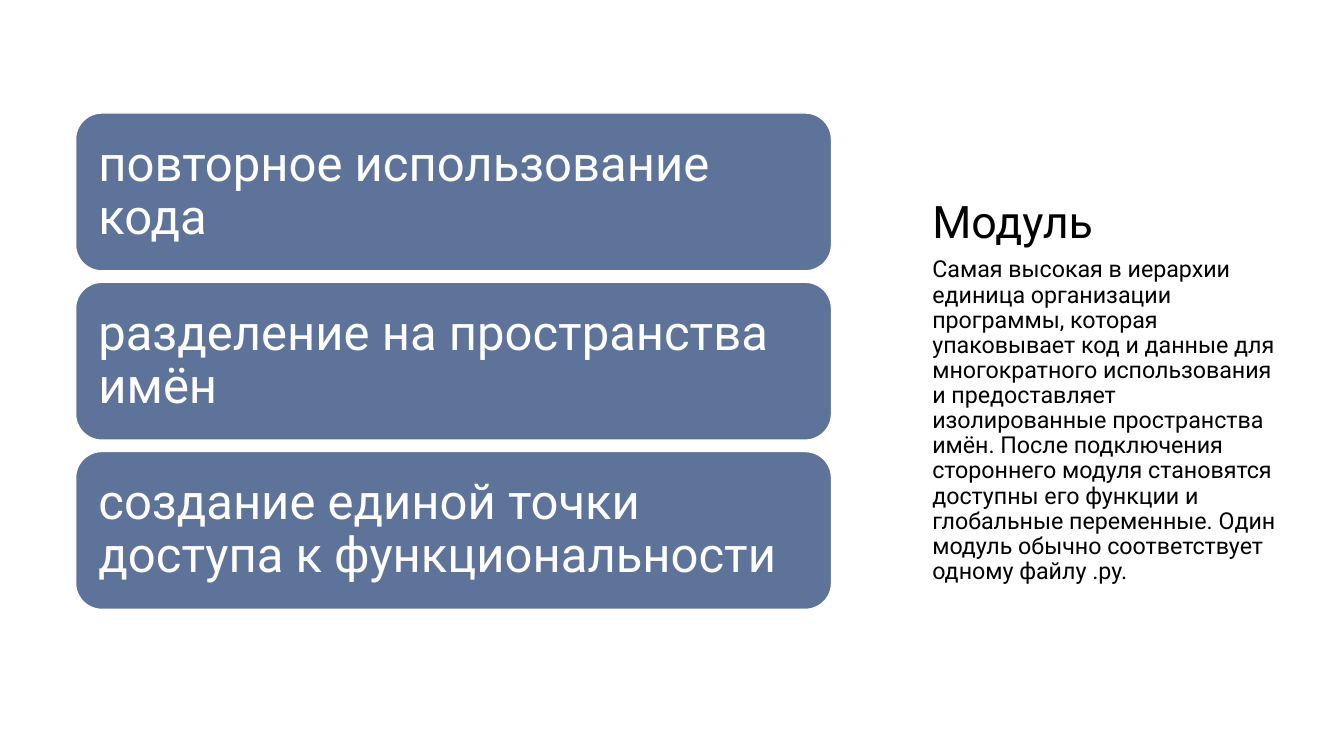
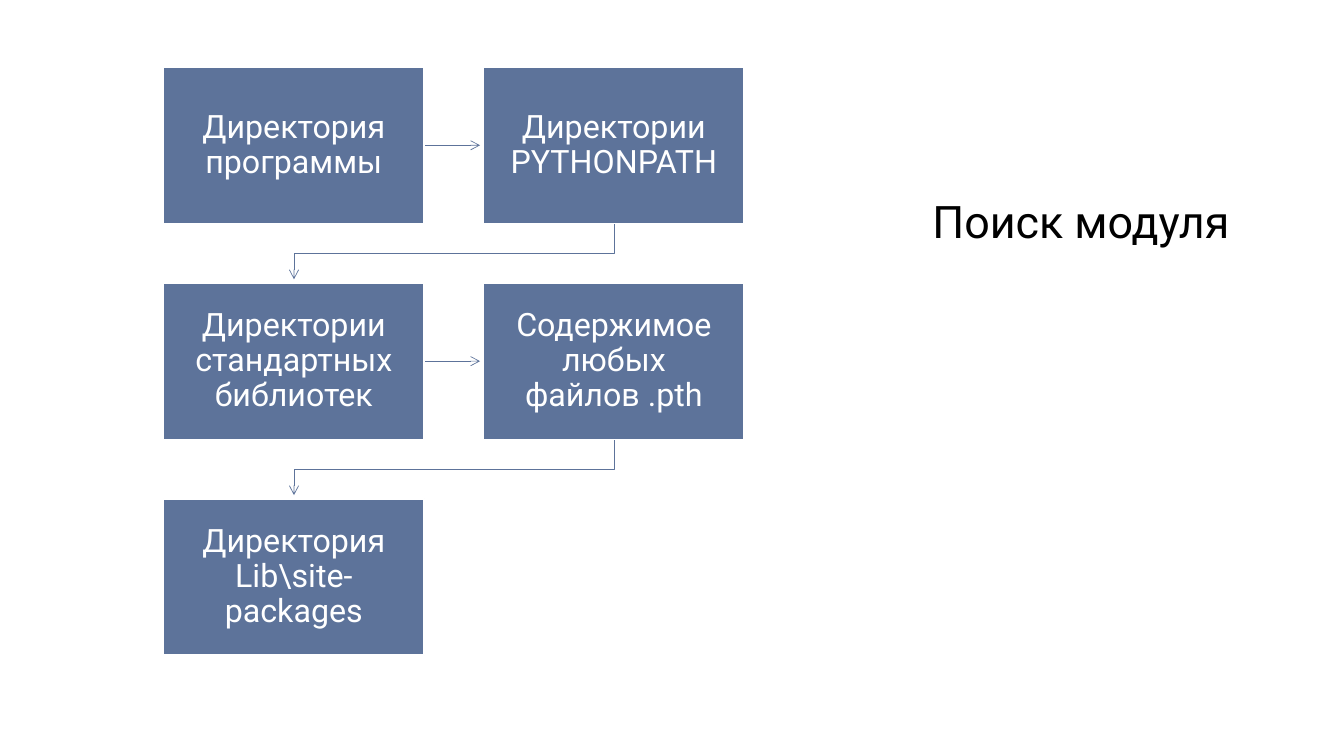
from dataclasses import dataclass
from itertools import zip_longest

from lxml import etree
from pptx import Presentation
from pptx.dml.color import RGBColor
from pptx.enum.shapes import MSO_CONNECTOR, MSO_SHAPE
from pptx.enum.text import MSO_ANCHOR, PP_ALIGN
from pptx.oxml.ns import qn
from pptx.presentation import Presentation as Deck
from pptx.shapes.base import BaseShape
from pptx.slide import Slide
from pptx.util import Emu, Inches, Pt

RECTANGLE = MSO_SHAPE.RECTANGLE
ROUNDED = MSO_SHAPE.ROUNDED_RECTANGLE
STRAIGHT = MSO_CONNECTOR.STRAIGHT
LEFT, CENTER = PP_ALIGN.LEFT, PP_ALIGN.CENTER
TOP, MIDDLE, BOTTOM = MSO_ANCHOR.TOP, MSO_ANCHOR.MIDDLE, MSO_ANCHOR.BOTTOM

# The slide is a grid of square units
COLUMNS, ROWS = 160, 90
UNIT = Inches(1) / 12
BLANK_LAYOUT = 6


@dataclass(frozen=True)
class Theme:
    font: str = "Roboto"
    accent: RGBColor = RGBColor(0x5D, 0x73, 0x9A)
    ink: RGBColor = RGBColor(0, 0, 0)
    paper: RGBColor = RGBColor(255, 255, 255)
    title_size: float = 32
    body_size: float = 16.6
    benefit_size: float = 35
    step_size: float = 23
    line_spacing: float = 0.9
    border: float = 1
    arrow: float = 0.5


THEME = Theme()


@dataclass(frozen=True)
class Frame:
    """A rectangle in columns and rows of the slide grid."""
    left: float
    top: float
    width: float
    height: float

    @property
    def right(self) -> float:
        return self.left + self.width

    @property
    def bottom(self) -> float:
        return self.top + self.height

    @property
    def center(self) -> float:
        return self.left + self.width / 2

    @property
    def middle(self) -> float:
        return self.top + self.height / 2

    def lengths(self) -> list[Emu]:
        return [units(n) for n in (self.left, self.top, self.width, self.height)]


@dataclass(frozen=True)
class CardGrid:
    """Equal cards at a constant pitch; the first one sets the size."""
    first: Frame
    column_pitch: float
    row_pitch: float
    columns: int

    def card(self, index: int) -> Frame:
        row, column = divmod(index, self.columns)
        return Frame(self.first.left + column * self.column_pitch,
                     self.first.top + row * self.row_pitch,
                     self.first.width, self.first.height)


@dataclass(frozen=True)
class CardStyle:
    outline: MSO_SHAPE
    size: float
    align: PP_ALIGN
    inset: float


TITLE = Frame(111, 7.9, 41.5, 21.6)
BODY = Frame(111, 30.7, 41.5, 47.3)
BENEFIT_GRID = CardGrid(Frame(9, 13.45, 90, 18.8), 0, 20.15, 1)
STEP_GRID = CardGrid(Frame(19.5, 8, 31, 18.6), 38.1, 25.7, 2)
BENEFIT_STYLE = CardStyle(ROUNDED, THEME.benefit_size, LEFT, 1.8)
STEP_STYLE = CardStyle(RECTANGLE, THEME.step_size, CENTER, 2.2)
ARROW_GAP = 0.45

DEFINITION = (
    "Самая высокая в иерархии единица организации программы, которая "
    "упаковывает код и данные для многократного использования и предоставляет "
    "изолированные пространства имён. После подключения стороннего модуля "
    "становятся доступны его функции и глобальные переменные. Один модуль "
    "обычно соответствует одному файлу .py."
)
BENEFITS = (
    "повторное использование кода",
    "разделение на пространства имён",
    "создание единой точки доступа к функциональности",
)
STEPS = (
    "Директория программы",
    "Директории PYTHONPATH",
    "Директории стандартных библиотек",
    "Содержимое любых файлов .pth",
    "Директория Lib\\site-packages",
)


def units(count: float) -> Emu:
    return Emu(round(count * UNIT))


# Text
def write(box: BaseShape, text: str, *, size: float, color: RGBColor = THEME.ink,
          align: PP_ALIGN = LEFT, anchor: MSO_ANCHOR = TOP, inset: float = 0,
          spacing: float = THEME.line_spacing) -> None:
    frame = box.text_frame
    frame.word_wrap = True
    frame.vertical_anchor = anchor
    frame.margin_left = frame.margin_right = units(inset)
    frame.margin_top = frame.margin_bottom = units(inset)
    para = frame.paragraphs[0]
    para.alignment = align
    para.line_spacing = spacing
    span = para.add_run()
    span.text = text
    span.font.name = THEME.font
    span.font.size = Pt(size)
    span.font.color.rgb = color


def add_title(page: Slide, text: str) -> None:
    box = page.shapes.add_textbox(*TITLE.lengths())
    write(box, text, size=THEME.title_size, anchor=BOTTOM, spacing=1.0)


# Cards
def add_card(page: Slide, frame: Frame, text: str, style: CardStyle) -> None:
    card = page.shapes.add_shape(style.outline, *frame.lengths())
    card.shadow.inherit = False
    card.fill.solid()
    card.fill.fore_color.rgb = THEME.accent
    card.line.color.rgb = THEME.paper
    card.line.width = Pt(THEME.border)
    write(card, text, size=style.size, color=THEME.paper, align=style.align,
          anchor=MIDDLE, inset=style.inset)


# Arrows
def style_arrow(arrow: BaseShape) -> None:
    arrow.line.color.rgb = THEME.accent
    arrow.line.width = Pt(THEME.arrow)
    properties = arrow.element.spPr
    etree.SubElement(properties.find(qn("a:ln")), qn("a:tailEnd"), type="arrow")
    etree.SubElement(properties, qn("a:effectLst"))


def add_arrow(page: Slide, source: Frame, target: Frame) -> None:
    if source.top == target.top:
        ends = (source.right, source.middle, target.left - ARROW_GAP, target.middle)
        arrow = page.shapes.add_connector(STRAIGHT, *map(units, ends))
    else:
        turn = (source.bottom + target.top) / 2
        corners = ((source.center, turn), (target.center, turn),
                   (target.center, target.top - ARROW_GAP))
        builder = page.shapes.build_freeform(units(source.center), units(source.bottom))
        builder.add_line_segments([(units(x), units(y)) for x, y in corners], close=False)
        arrow = builder.convert_to_shape()
        arrow.fill.background()
    style_arrow(arrow)


# Slides
def add_page(deck: Deck, title: str) -> Slide:
    page = deck.slides.add_slide(deck.slide_layouts[BLANK_LAYOUT])
    add_title(page, title)
    return page


def add_module_page(deck: Deck) -> None:
    page = add_page(deck, "Модуль")
    body = page.shapes.add_textbox(*BODY.lengths())
    write(body, DEFINITION, size=THEME.body_size)
    for index, benefit in enumerate(BENEFITS):
        add_card(page, BENEFIT_GRID.card(index), benefit, BENEFIT_STYLE)


def add_search_page(deck: Deck) -> None:
    page = add_page(deck, "Поиск модуля")
    cards = [STEP_GRID.card(index) for index in range(len(STEPS))]
    for step, card, following in zip_longest(STEPS, cards, cards[1:]):
        if following:
            add_arrow(page, card, following)
        add_card(page, card, step, STEP_STYLE)


def main() -> None:
    deck = Presentation()
    deck.slide_width, deck.slide_height = units(COLUMNS), units(ROWS)
    add_module_page(deck)
    add_search_page(deck)
    deck.save("out.pptx")


main()
